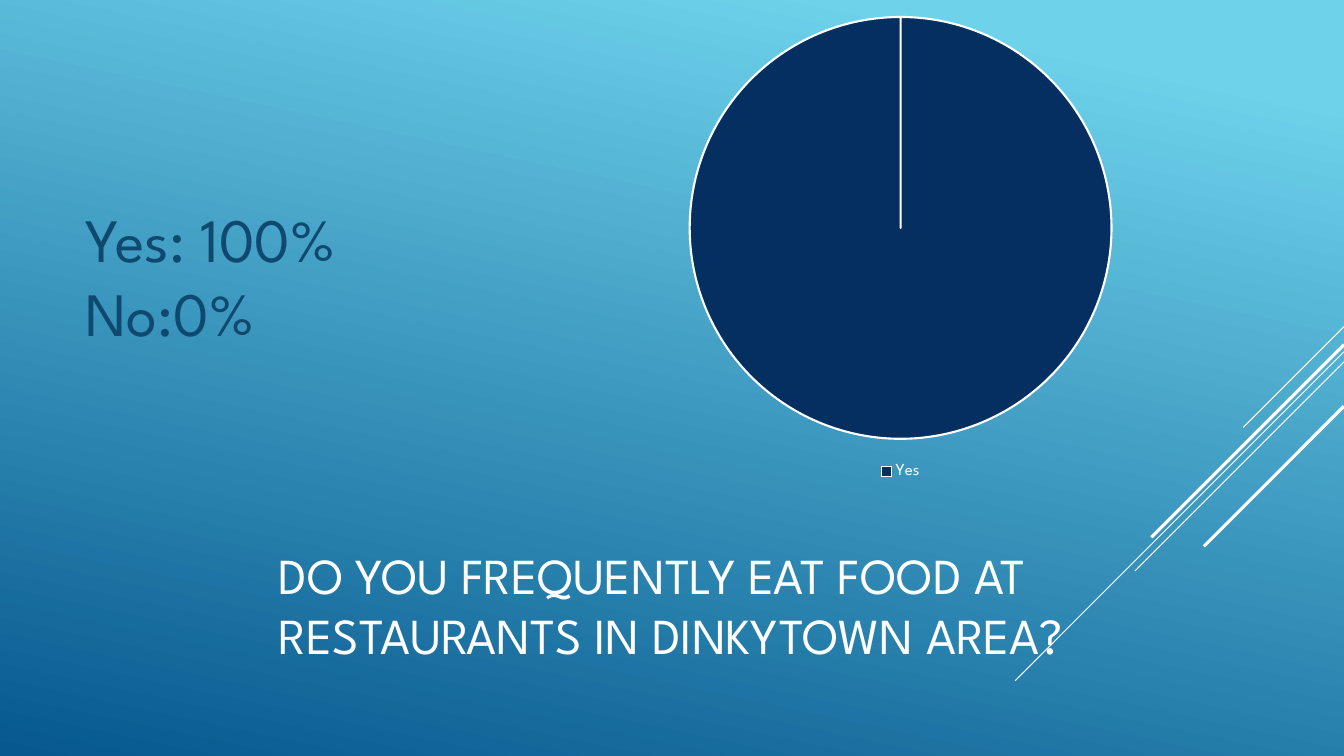
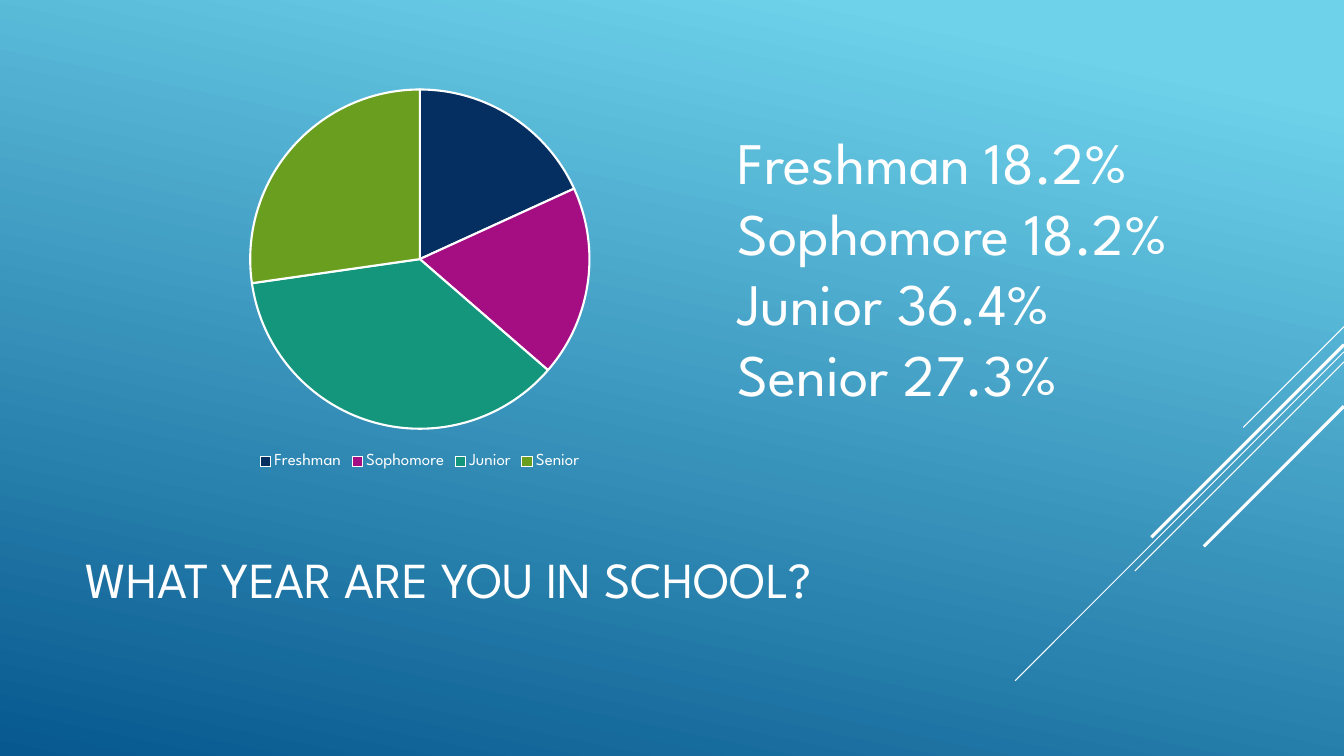
from dataclasses import dataclass
from pptx import Presentation
from pptx.chart.data import CategoryChartData
from pptx.dml.color import RGBColor as Rgb
from pptx.enum.chart import XL_CHART_TYPE as ChartType, XL_LEGEND_POSITION as LegendSpot
from pptx.enum.shapes import MSO_CONNECTOR as Connector
from pptx.enum.text import MSO_ANCHOR as Anchor
from pptx.oxml.ns import qn
from pptx.util import Pt


@dataclass(frozen=True)
class Theme:
    font: str = "League Spartan"
    white: str = "FFFFFF"
    ink: str = "0F496F"
    sky: tuple = ((0.1, "6ED2EB"), (1, "06588E"))
    sky_angle: int = 258
    slices: tuple = ("052F61", "A50E82", "14967C", "6A9E1F")
    title_size: int = 36
    chart_size: int = 10
    legend_size: int = 12
    slice_line: float = 1.5


theme = Theme()
WIDTH, HEIGHT = 960, 540
STREAKS = [
    (233.3, 72, 0.75),
    (251.3, 234.9, 0.75),
    (258.5, 149.4, 0.75),
    (246.2, 137.6, 2.25),
    (290.2, 100.1, 2.25),
]
SURVEY = [
    {
        "title": "DO YOU FREQUENTLY EAT FOOD AT RESTAURANTS IN DINKYTOWN AREA?",
        "title_area": (192, 372.2, 672, 118.8),
        "answers": ["Yes: 100%", "No:0%"],
        "answers_area": (54, 54, 672, 284.4),
        "answers_style": (44, theme.ink, Anchor.MIDDLE),
        "shares": {"Yes": 100},
        "chart_area": (422.6, 2.2, 441.4, 343.4),
    },
    {
        "title": "WHAT YEAR ARE YOU IN SCHOOL?",
        "title_area": (54, 353.5, 672, 118.8),
        "answers": ["Freshman 18.2%", "Sophomore 18.2%", "Junior 36.4%", "Senior 27.3%"],
        "answers_area": (519.8, 86.4, 384, 211),
        "answers_style": (42, theme.white, Anchor.TOP),
        "shares": {"Freshman": 18, "Sophomore": 18, "Junior": 36, "Senior": 27},
        "chart_area": (54, 54, 491.8, 284.4),
    },
]


def points(area):
    return [Pt(length) for length in area]


def style_font(font, size, color):
    font.name = theme.font
    font.size = Pt(size)
    font.color.rgb = Rgb.from_string(color)


def paint_sky(master):
    fill = master.background.fill
    fill.gradient()
    fill.gradient_angle = theme.sky_angle
    for stop, (position, color) in zip(fill.gradient_stops, theme.sky):
        stop.position = position
        stop.color.rgb = Rgb.from_string(color)


def add_streaks(page):
    for top, run, weight in STREAKS:
        ends = points((WIDTH, top, WIDTH - run, top + run))
        streak = page.shapes.add_connector(Connector.STRAIGHT, *ends)
        streak.line.color.rgb = Rgb.from_string(theme.white)
        streak.line.width = Pt(weight)
        properties = streak._element.spPr
        properties.append(properties.makeelement(qn("a:effectLst"), {}))


def add_text(page, area, lines, size, color, anchor):
    frame = page.shapes.add_textbox(*points(area)).text_frame
    frame.word_wrap = True
    frame.vertical_anchor = anchor
    frame.text = "\n".join(lines)
    for para in frame.paragraphs:
        style_font(para.font, size, color)


def add_pie(page, area, shares):
    data = CategoryChartData()
    data.categories = list(shares)
    data.add_series("Series 1", list(shares.values()))
    chart = page.shapes.add_chart(ChartType.PIE, *points(area), data).chart
    chart.has_title = False
    style_font(chart.font, theme.chart_size, theme.white)
    chart.has_legend = True
    chart.legend.position = LegendSpot.BOTTOM
    chart.legend.include_in_layout = False
    style_font(chart.legend.font, theme.legend_size, theme.white)
    plot = chart.plots[0]
    plot.vary_by_categories = True
    for index, color in enumerate(theme.slices[:len(shares)]):
        look = plot.series[0].points[index].format
        look.fill.solid()
        look.fill.fore_color.rgb = Rgb.from_string(color)
        look.line.color.rgb = Rgb.from_string(theme.white)
        look.line.width = Pt(theme.slice_line)


deck = Presentation()
deck.slide_width, deck.slide_height = Pt(WIDTH), Pt(HEIGHT)
paint_sky(deck.slide_master)
for question in SURVEY:
    page = deck.slides.add_slide(deck.slide_layouts[6])
    add_streaks(page)
    add_text(page, question["title_area"], [question["title"]],
             theme.title_size, theme.white, Anchor.MIDDLE)
    add_pie(page, question["chart_area"], question["shares"])
    add_text(page, question["answers_area"], question["answers"], *question["answers_style"])
deck.save("out.pptx")
